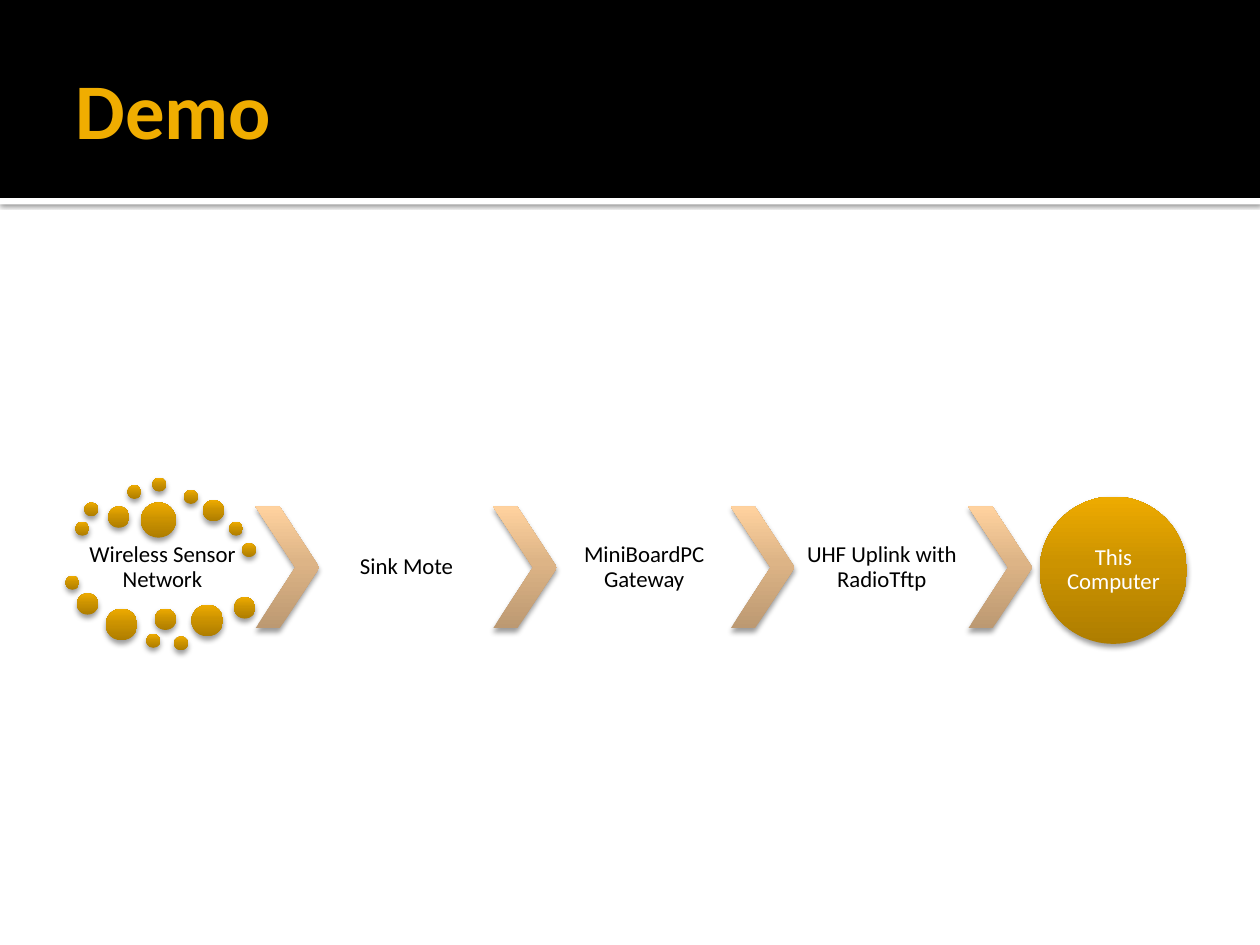
from copy import deepcopy
from dataclasses import dataclass

from lxml.etree import SubElement
from pptx import Presentation
from pptx.dml.color import RGBColor
from pptx.enum.shapes import MSO_SHAPE as Preset
from pptx.enum.text import MSO_ANCHOR as Anchor, PP_ALIGN as Align
from pptx.oxml.ns import qn
from pptx.util import Cm, Pt


@dataclass(frozen=True)
class Theme:
    font: str = "Calibri"
    title_size: int = 45
    label_size: int = 13
    title: str = "F0AD00"
    black: str = "000000"
    white: str = "FFFFFF"
    gold: tuple = ("AE7D00", "CC9300", "EEAB00")
    sand: tuple = ("BC9972", "DDB486", "FFD29F")
    # opacity in percent, blur and distance in points
    soft_shadow: tuple = (38, 3.1, 2)
    bar_shadow: tuple = (60, 2.5, 0.8)


theme = Theme()


def add_figure(preset, box, colours, shadow=None):
    """Add a preset shape; three colours make a gradient rising from the bottom."""
    figure = slide.shapes.add_shape(preset, *map(Cm, box))
    if isinstance(colours, str):
        figure.fill.solid()
        figure.fill.fore_color.rgb = RGBColor.from_string(colours)
    else:
        figure.fill.gradient()
        figure.fill.gradient_angle = 90
        stop_list = figure._element.spPr.find(".//" + qn("a:gsLst"))
        middle = deepcopy(stop_list[0])
        middle.set("pos", "55000")
        stop_list.insert(1, middle)
        for stop, colour in zip(figure.fill.gradient_stops, colours):
            stop.color.rgb = RGBColor.from_string(colour)
    figure.line.fill.background()
    figure.shadow.inherit = False
    if shadow:
        opacity, blur, distance = shadow
        effects = figure._element.spPr.find(qn("a:effectLst"))
        outer = SubElement(effects, qn("a:outerShdw"), blurRad=str(Pt(blur)),
                           dist=str(Pt(distance)), dir="5400000", rotWithShape="0")
        tint = SubElement(outer, qn("a:srgbClr"), val=theme.black)
        SubElement(tint, qn("a:alpha"), val=str(opacity * 1000))
    return figure


def write(holder, text, colour, inset=0.05, size=theme.label_size, bold=False,
          align=Align.CENTER, spacing=0.9):
    frame = holder.text_frame
    frame.text = text
    margin = Cm(inset)
    frame_format = {"word_wrap": True, "vertical_anchor": Anchor.MIDDLE,
                    "margin_left": margin, "margin_right": margin,
                    "margin_top": margin, "margin_bottom": margin}
    for name, value in frame_format.items():
        setattr(frame, name, value)
    paragraph = frame.paragraphs[0]
    paragraph.alignment, paragraph.line_spacing = align, spacing
    font_format = {"name": theme.font, "size": Pt(size), "bold": bold}
    for name, value in font_format.items():
        setattr(paragraph.runs[0].font, name, value)
    paragraph.runs[0].font.color.rgb = RGBColor.from_string(colour)


deck = Presentation()
deck.slide_width, deck.slide_height = Cm(25.4), Cm(19.05)
slide = deck.slides.add_slide(deck.slide_layouts[5])

# Header band with its white edge, and the title in front of it
add_figure(Preset.RECTANGLE, (0, 3.99, 25.4, 0.13), theme.white, theme.bar_shadow)
add_figure(Preset.RECTANGLE, (0, 0, 25.4, 3.99), theme.black)
title = slide.shapes.title
slide.shapes._spTree.append(title._element)
title_box = {"left": 1.27, "top": 0.43, "width": 22.86, "height": 3.48}
for side, length in title_box.items():
    setattr(title, side, Cm(length))
write(title, "Demo", theme.title, inset=0.13, size=theme.title_size, bold=True,
      align=Align.LEFT, spacing=1.0)
title.text_frame.margin_left = Cm(0.25)

# Cloud of sensor nodes around the first step
label_width = 3.51
network = slide.shapes.add_textbox(Cm(1.52), Cm(10.87), Cm(label_width), Cm(1.14))
write(network, "Wireless Sensor Network", theme.black)
nodes_by_diameter = {
    0.28: [(1.52, 10.52), (1.7, 10.13), (2.57, 9.78), (3.07, 9.63), (3.71, 9.88),
           (4.62, 10.52), (4.88, 10.95), (1.32, 11.61), (2.95, 12.78), (3.51, 12.83)],
    0.43: [(2.18, 10.21), (4.09, 10.08), (1.55, 11.96), (3.12, 12.27), (4.72, 12.04)],
    0.64: [(2.13, 12.27), (3.86, 12.19)],
    0.71: [(2.84, 10.13)],
}
for diameter, corners in nodes_by_diameter.items():
    for left, top in corners:
        add_figure(Preset.OVAL, (left, top, diameter, diameter),
                   theme.gold, theme.soft_shadow)

# Chevrons, each followed by its step; the last one leads to the circle
row_top, row_height = 10.21, 2.46
chevron_left, chevron_width = 5.15, 1.29
step_pitch = 4.79
steps = ["Sink Mote", "MiniBoardPC Gateway", "UHF Uplink with RadioTftp", None]
for index, step in enumerate(steps):
    left = chevron_left + index * step_pitch
    chevron = add_figure(Preset.CHEVRON, (left, row_top, chevron_width, row_height),
                         theme.sand, theme.soft_shadow)
    chevron.adjustments[0] = 0.623
    if step:
        label = slide.shapes.add_textbox(Cm(left + chevron_width), Cm(row_top),
                                         Cm(label_width), Cm(row_height))
        write(label, step, theme.black)

computer = add_figure(Preset.OVAL, (20.96, 10.01, 2.97, 2.97),
                      theme.gold, theme.soft_shadow)
write(computer, "This Computer", theme.white, inset=0)

deck.save("out.pptx")
